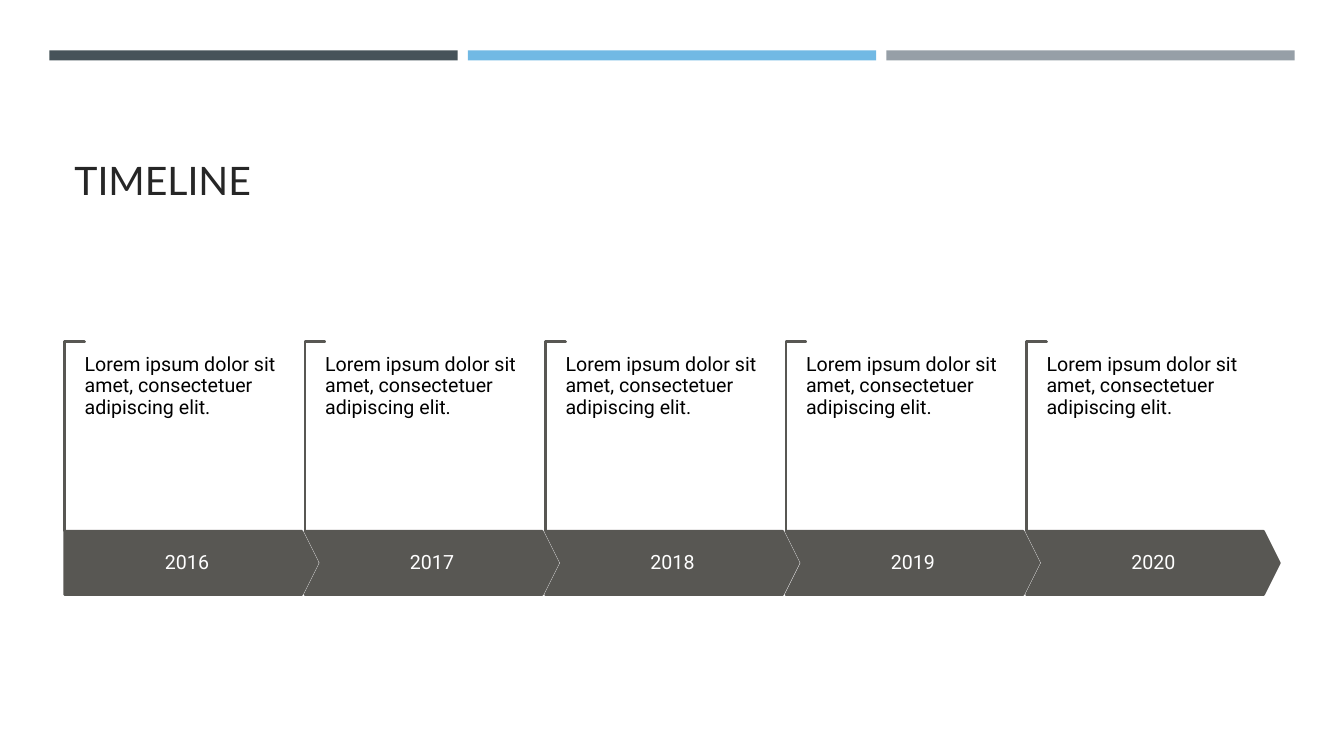
from pptx import Presentation
from pptx.dml.color import RGBColor
from pptx.enum import shapes, text
from pptx.util import Inches, Pt

GREY = "585753"
LEFT, STEP = 0.64, 9.54 / 4
BODY = "Lorem ipsum dolor sit amet, consectetuer adipiscing elit."
KIND = shapes.MSO_SHAPE
ALIGN = text.PP_ALIGN
ANCHOR = text.MSO_ANCHOR


def paint(fmt, color):
    """Give a fill or a line's fill a solid colour."""
    fmt.solid()
    fmt.fore_color.rgb = RGBColor.from_string(color)


def add_form(slide, kind, box, fill, line=None, adjust=()):
    """Add a preset shape without shadow."""
    form = slide.shapes.add_shape(kind, *map(Inches, box))
    form.shadow.inherit = False
    paint(form.fill, fill)
    if line:
        paint(form.line.fill, line)
        form.line.width = Pt(1.75)
    else:
        form.line.fill.background()
    for i, value in enumerate(adjust):
        form.adjustments[i] = value
    return form


def add_text(slide, box, words, font, size, color, inset=(0, 0),
             anchor=ANCHOR.TOP, align=ALIGN.LEFT, spacing=0.9):
    """Add a wrapped text box with one run."""
    frame = slide.shapes.add_textbox(*map(Inches, box)).text_frame
    frame.word_wrap = True
    frame.vertical_anchor = anchor
    frame.margin_left = frame.margin_right = Inches(inset[0])
    frame.margin_top = frame.margin_bottom = Inches(inset[1])
    para = frame.paragraphs[0]
    para.alignment = align
    para.line_spacing = spacing
    run = para.add_run()
    run.text = words
    run.font.name = font
    run.font.size = Pt(size)
    run.font.color.rgb = RGBColor.from_string(color)


def add_year(slide, index, year):
    """Add one step of the timeline: bracket, arrow, year and note."""
    x = LEFT + index * STEP
    mark = add_form(slide, KIND.CORNER, (x - 0.84, 4.23, 1.88, 0.2),
                    "EBDDC3", GREY, (0.01, 0.01))
    mark.rotation = 90
    kind = KIND.CHEVRON if index else KIND.PENTAGON
    add_form(slide, kind, (x, 5.27, 2.51, 0.63), GREY, GREY, (0.25,))
    label = (x + 0.16, 5.27, 2.2, 0.63) if index else (x, 5.27, 2.43, 0.63)
    add_text(slide, label, year, "Roboto", 14, "FFFFFF", (0.1, 0.19),
             ANCHOR.MIDDLE, ALIGN.CENTER)
    add_text(slide, (x + 0.2, 3.52, 2.04, 1.18), BODY, "Roboto", 14, "000000")


def main():
    """Build the timeline slide."""
    deck = Presentation()
    deck.slide_width, deck.slide_height = Inches(13.33), Inches(7.5)
    slide = deck.slides.add_slide(deck.slide_layouts[6])
    for i, color in enumerate(("465359", "71B9E4", "969FA7")):
        add_form(slide, KIND.RECTANGLE, (0.49 + 4.15 * i, 0.5, 4.05, 0.1), color)
    add_text(slide, (LEFT, 0.77, 12.06, 1.3), "TIMELINE", "Lato", 28, "262626",
             (0.1, 0.05), ANCHOR.BOTTOM, spacing=1.0)
    for i in range(5):
        add_year(slide, i, str(2016 + i))
    deck.save("out.pptx")


if __name__ == "__main__":
    main()
